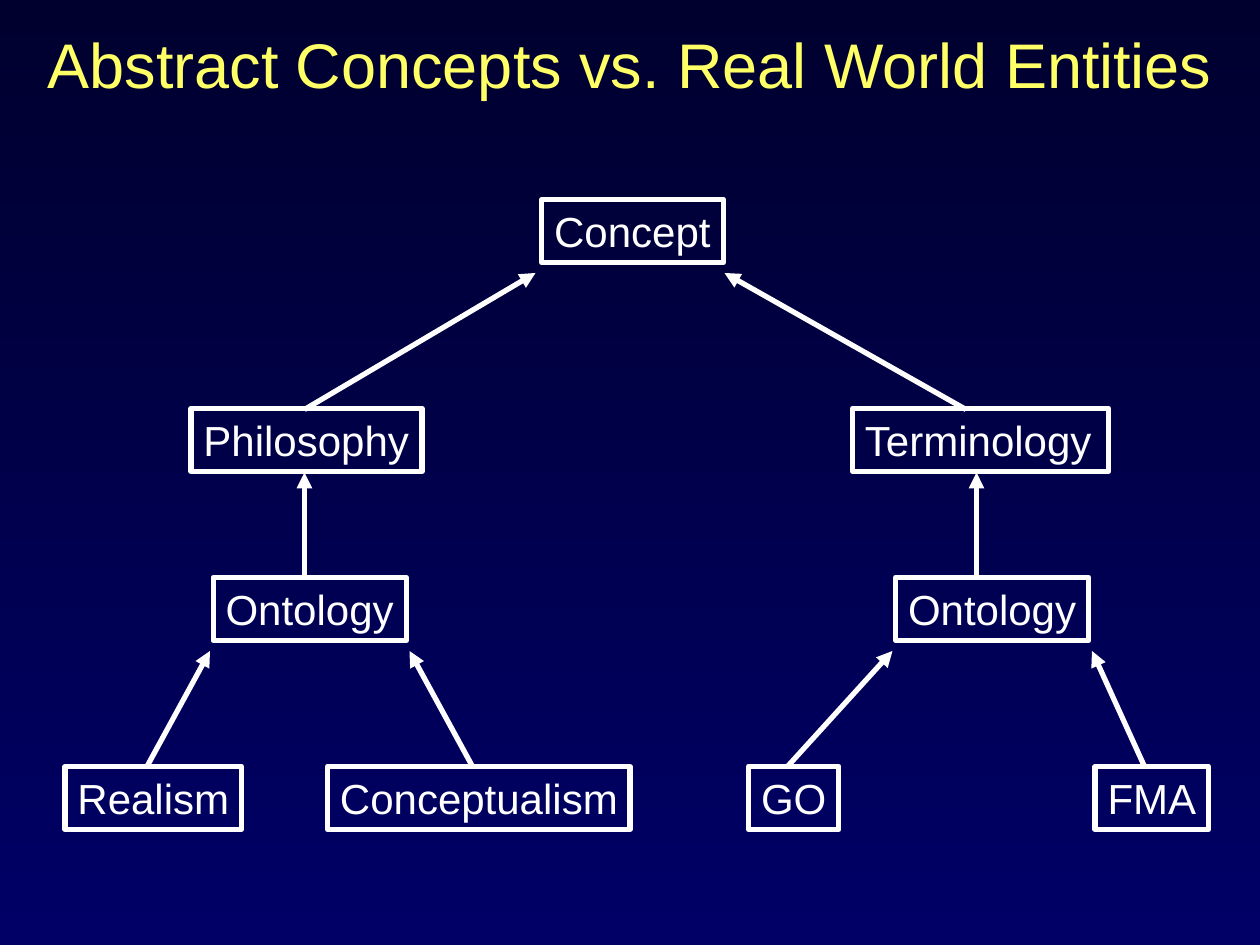
from typing import NamedTuple

from lxml.etree import SubElement
from pptx import Presentation
from pptx.dml.color import RGBColor as Rgb
from pptx.enum.shapes import MSO_CONNECTOR as Conn, MSO_SHAPE as Shape
from pptx.enum.text import MSO_ANCHOR as Anchor, PP_ALIGN as Align
from pptx.oxml.ns import qn
from pptx.util import Inches, Pt

COLORS = {"top": "00002F", "base": "000066", "title": "FFFF66", "ink": "FFFFFF"}
FONT = "Arial"
COLS, ROWS = 120, 90
CELL = Inches(10) // COLS
BOX_H = 6
TOP, FIELD, KIND, LEAF = 19, 38.9, 55, 73  # rows of the tree levels


class Node(NamedTuple):
    text: str
    col: float
    row: float
    width: float


class Arrow(NamedTuple):
    col: int
    row: int
    to_col: int
    to_row: int


NODES = [
    Node("Concept", 51.6, TOP, 17.3),
    Node("Philosophy", 18.2, FIELD, 22),
    Node("Terminology", 81.2, FIELD, 24.4),
    Node("Ontology", 20.3, KIND, 18.4),
    Node("Ontology", 85.3, KIND, 18.4),
    Node("Realism", 6.2, LEAF, 16.8),
    Node("Conceptualism", 31.2, LEAF, 28.8),
    Node("GO", 71.3, LEAF, 8.6),
    Node("FMA", 104.3, LEAF, 10.8),
]
ARROWS = [
    Arrow(29, 39, 51, 26),
    Arrow(92, 39, 69, 26),
    Arrow(29, KIND, 29, 45),
    Arrow(93, KIND, 93, 45),
    Arrow(14, LEAF, 20, 62),
    Arrow(45, LEAF, 39, 62),
    Arrow(75, LEAF, 85, 62),
    Arrow(109, LEAF, 104, 62),
]


def color(name: str) -> Rgb:
    return Rgb.from_string(COLORS[name])


def grid(*cells: float) -> list[int]:
    """Turn grid cells into slide lengths."""
    return [round(n * CELL) for n in cells]


def add_text(frame, text: str, size: int, ink: str, align) -> None:
    para = frame.paragraphs[0]
    para.alignment = align
    run = para.add_run()
    run.text = text
    run.font.name = FONT
    run.font.size = Pt(size)
    run.font.color.rgb = color(ink)


def set_line(line) -> None:
    line.color.rgb = color("ink")
    line.width = Pt(3)


def draw_node(slide, node: Node) -> None:
    place = grid(node.col, node.row, node.width, BOX_H)
    box = slide.shapes.add_shape(Shape.RECTANGLE, *place)
    box.shadow.inherit = False
    box.fill.background()
    set_line(box.line)
    frame = box.text_frame
    frame.word_wrap = True
    frame.margin_right = 0  # labels fill their boxes, so leave room to spare
    frame.vertical_anchor = Anchor.TOP
    add_text(frame, node.text, 24, "ink", Align.LEFT)


def draw_arrow(slide, arrow: Arrow) -> None:
    link = slide.shapes.add_connector(Conn.STRAIGHT, *grid(*arrow))
    set_line(link.line)
    SubElement(link.line._get_or_add_ln(), qn("a:tailEnd"), type="triangle")
    SubElement(link._element.spPr, qn("a:effectLst"))


def draw_title(slide, text: str) -> None:
    title = slide.shapes.title
    title.left, title.top, title.width, title.height = grid(0, 0, COLS, 12)
    title.text_frame.vertical_anchor = Anchor.MIDDLE
    add_text(title.text_frame, text, 36, "title", Align.CENTER)


def paint_back(slide) -> None:
    fill = slide.background.fill
    fill.gradient()
    fill.gradient_angle = 270
    for stop, name in zip(fill.gradient_stops, ("top", "base")):
        stop.color.rgb = color(name)


def main() -> None:
    deck = Presentation()
    deck.slide_width, deck.slide_height = grid(COLS, ROWS)
    slide = deck.slides.add_slide(deck.slide_layouts[5])
    paint_back(slide)
    draw_title(slide, "Abstract Concepts vs. Real World Entities")
    for node in NODES:
        draw_node(slide, node)
    for arrow in ARROWS:
        draw_arrow(slide, arrow)
    deck.save("out.pptx")


if __name__ == "__main__":
    main()
